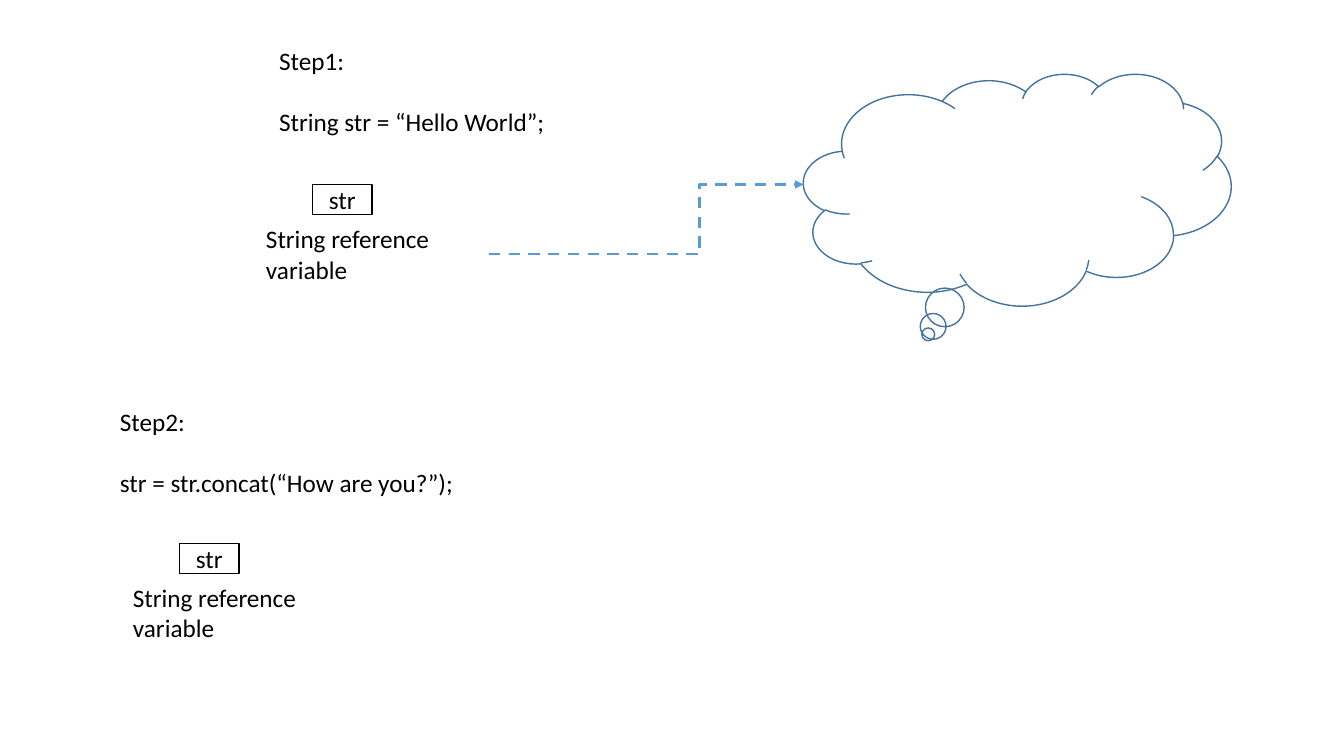
from lxml import etree
from pptx import Presentation
from pptx.dml.color import RGBColor
from pptx.enum.dml import MSO_LINE_DASH_STYLE as Dash
from pptx.enum.shapes import MSO_CONNECTOR as Connector, MSO_SHAPE as Shape
from pptx.enum.text import MSO_ANCHOR as Anchor, MSO_AUTO_SIZE as AutoSize, PP_ALIGN as Align
from pptx.oxml.ns import qn
from pptx.util import Inches, Pt

BLACK = RGBColor(0x00, 0x00, 0x00)
WHITE = RGBColor(0xFF, 0xFF, 0xFF)
CLOUD_BLUE = RGBColor(0x43, 0x73, 0x9E)
ARROW_BLUE = RGBColor(0x5B, 0x9B, 0xD5)
FONT_FORMAT = {"name": "Calibri", "size": Pt(18)}
LINE_GAP = Pt(22)


def set_attributes(target, values):
    for name, value in values.items():
        setattr(target, name, value)


def write_paragraph(paragraph, text):
    run = paragraph.add_run()
    run.text = text
    set_attributes(run.font, FONT_FORMAT)
    run.font.color.rgb = BLACK


def add_text(slide, box, lines):
    frame = slide.shapes.add_textbox(*map(Inches, box)).text_frame
    set_attributes(frame, {"word_wrap": True, "auto_size": AutoSize.SHAPE_TO_FIT_TEXT})
    for index, line in enumerate(lines):
        paragraph = frame.add_paragraph() if index else frame.paragraphs[0]
        if index:
            paragraph.space_before = LINE_GAP
        write_paragraph(paragraph, line)


def add_outline(slide, kind, box, color, fill=None):
    shape = slide.shapes.add_shape(kind, *map(Inches, box))
    shape.shadow.inherit = False
    if fill is None:
        shape.fill.background()
    else:
        shape.fill.solid()
        shape.fill.fore_color.rgb = fill
    shape.line.color.rgb = color
    shape.line.width = Pt(1)
    return shape


def add_variable(slide, box, fill=None):
    left, top, width, height = box
    name_box = add_outline(slide, Shape.RECTANGLE, (left + 0.56, top, 0.59, 0.3), BLACK, fill)
    frame = name_box.text_frame
    set_attributes(frame, {"vertical_anchor": Anchor.MIDDLE, "word_wrap": True})
    frame.paragraphs[0].alignment = Align.CENTER
    write_paragraph(frame.paragraphs[0], "str")
    add_text(slide, (left, top + 0.34, width, height - 0.34), ["String reference variable"])


def add_reference_arrow(slide, box, bend):
    left, top, width, height = box
    arrow = slide.shapes.add_connector(
        Connector.ELBOW, Inches(left), Inches(top + height), Inches(left + width), Inches(top))
    set_attributes(arrow.line, {"width": Pt(2), "dash_style": Dash.DASH})
    arrow.line.color.rgb = ARROW_BLUE
    properties = arrow._element.spPr
    etree.SubElement(properties.find(qn("a:ln")), qn("a:tailEnd"), type="triangle")
    etree.SubElement(properties, qn("a:effectLst"))
    geometry = properties.find(qn("a:prstGeom"))
    adjustments = geometry.find(qn("a:avLst"))
    if adjustments is None:
        adjustments = etree.SubElement(geometry, qn("a:avLst"))
    etree.SubElement(adjustments, qn("a:gd"), name="adj1", fmla=f"val {round(bend * 100000)}")


def main():
    presentation = Presentation()
    set_attributes(presentation, {"slide_width": Inches(13.33), "slide_height": Inches(7.5)})
    slide = presentation.slides.add_slide(presentation.slide_layouts[6])

    add_text(slide, (1.09, 3.98, 3.75, 1.01), ["Step2:", "str = str.concat(“How are you?”);"])
    add_variable(slide, (1.22, 5.39, 2.3, 1.05), WHITE)

    add_text(slide, (2.67, 0.4, 3.42, 1.01), ["Step1:", "String str = “Hello World”;"])
    add_variable(slide, (2.54, 1.83, 2.3, 1.05))
    add_outline(slide, Shape.CLOUD_CALLOUT, (7.97, 0.73, 4.24, 2.3), CLOUD_BLUE)
    add_reference_arrow(slide, (4.85, 1.83, 3.12, 0.69), 0.67)

    presentation.save("out.pptx")


if __name__ == "__main__":
    main()
